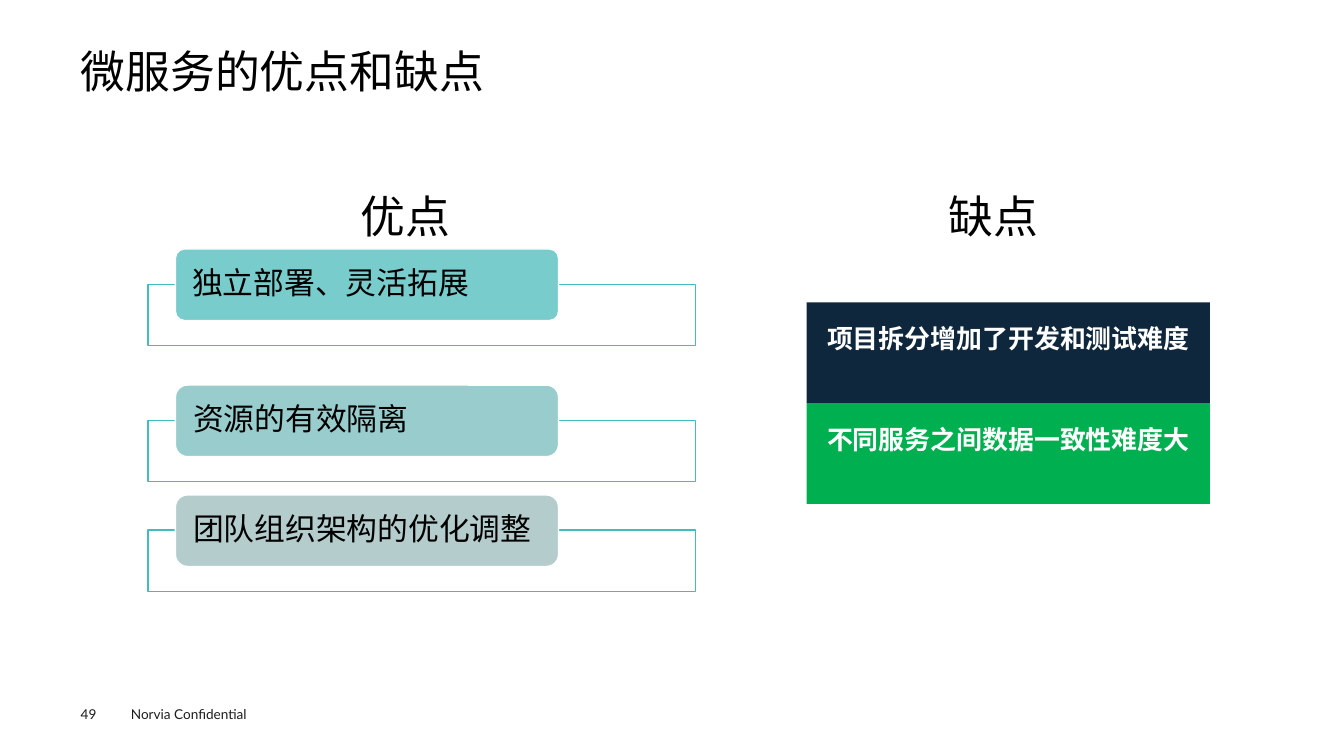
from dataclasses import dataclass
from math import cos, pi, sin

from lxml.etree import SubElement
from pptx import Presentation
from pptx.dml.color import RGBColor
from pptx.enum.shapes import MSO_SHAPE
from pptx.enum.text import MSO_ANCHOR, PP_ALIGN
from pptx.oxml.ns import qn
from pptx.util import Inches, Pt


@dataclass(frozen=True)
class Theme:
    font: str = "Lato"
    black: str = "000000"
    white: str = "FFFFFF"
    footer: str = "1D1D1B"
    outline: str = "41BDC1"
    heading_size: float = 32
    advantage_size: float = 22
    drawback_size: float = 18.5
    footer_size: float = 9.7


def write(shape, text, *, size, color, font, bold=False, align=PP_ALIGN.LEFT,
          spacing=1.0, anchor=MSO_ANCHOR.TOP, insets=(0.1, 0.05), wrap=True):
    frame = shape.text_frame
    frame.word_wrap = wrap
    frame.vertical_anchor = anchor
    frame.margin_left = frame.margin_right = Inches(insets[0])
    frame.margin_top = frame.margin_bottom = Inches(insets[1])
    paragraph = frame.paragraphs[0]
    paragraph.alignment = align
    paragraph.line_spacing = spacing
    run = paragraph.add_run()
    run.text = text
    run.font.name = font
    run.font.size = Pt(size)
    run.font.bold = bold
    run.font.color.rgb = RGBColor.from_string(color)


class SlideBuilder:
    def __init__(self, slide, theme):
        self.slide = slide
        self.theme = theme

    def paint(self, shape, fill, line=None):
        shape.shadow.inherit = False
        shape.fill.solid()
        shape.fill.fore_color.rgb = RGBColor.from_string(fill)
        if line:
            shape.line.color.rgb = RGBColor.from_string(line)
            shape.line.width = Pt(1)
        else:
            shape.line.fill.background()

    def label(self, text, left, top, width, height, **style):
        box = self.slide.shapes.add_textbox(*map(Inches, (left, top, width, height)))
        write(box, text, font=self.theme.font, **style)

    def advantage(self, text, top, color, radius):
        theme, shapes = self.theme, self.slide.shapes
        # Outlined panel behind the card, nearly opaque white
        panel = shapes.add_shape(MSO_SHAPE.RECTANGLE, Inches(1.47), Inches(top + 0.35),
                                 Inches(5.43), Inches(0.61))
        self.paint(panel, theme.white, theme.outline)
        tint = panel.fill._xPr.find(qn("a:solidFill"))[0]
        SubElement(tint, qn("a:alpha")).set("val", "90000")
        # Coloured card
        card = shapes.add_shape(MSO_SHAPE.ROUNDED_RECTANGLE, Inches(1.74), Inches(top),
                                Inches(3.8), Inches(0.71))
        card.adjustments[0] = radius / 0.71
        self.paint(card, color, theme.white)
        write(card, text, font=theme.font, size=theme.advantage_size, color=theme.black,
              spacing=0.9, anchor=MSO_ANCHOR.MIDDLE, insets=(0.14, 0))

    def drawback(self, text, left, top, color):
        theme = self.theme
        right, bottom = 12.02, top + 0.62
        rx, ry, steps = 0.13, 0.1, 8

        def corner(x, y, start):
            angles = [start + pi / 2 * i / steps for i in range(steps + 1)]
            return [(x + rx * cos(a), y + ry * sin(a)) for a in angles]

        # Rounded bubble with its tail at the lower right
        outline = (corner(left + rx, top + ry, pi)
                   + corner(right - rx, top + ry, 1.5 * pi)
                   + corner(right - rx, bottom - ry, 0)
                   + [(right - 0.26, bottom), (right - 0.26, bottom + 0.24),
                      (right - 0.56, bottom)]
                   + corner(left + rx, bottom - ry, pi / 2))
        builder = self.slide.shapes.build_freeform(*outline[0], scale=Inches(1))
        builder.add_line_segments(outline[1:], close=True)
        bubble = builder.convert_to_shape()
        self.paint(bubble, color)
        write(bubble, text, font=theme.font, size=theme.drawback_size, color=theme.white,
              bold=True, align=PP_ALIGN.CENTER, spacing=1.5)


def main():
    deck = Presentation()
    deck.slide_width, deck.slide_height = Inches(13.33), Inches(7.5)
    theme = Theme()
    page = SlideBuilder(deck.slides.add_slide(deck.slide_layouts[6]), theme)

    # Footer
    footer = dict(size=theme.footer_size, color=theme.footer)
    page.label("Norvia Confidential", 1.2, 6.95, 1.6, 0.27, wrap=False, **footer)
    page.label("49", 0.8, 7, 0.55, 0.16, insets=(0, 0), **footer)

    # Title and column headings
    heading = dict(size=theme.heading_size, color=theme.black)
    page.label("微服务的优点和缺点", 0.8, 0.49, 11.73, 0.54, insets=(0, 0),
               spacing=0.9, **heading)
    for text, left in (("优点", 3.2), ("缺点", 9.03)):
        page.label(text, left, 1.82, 1.65, 0.65, align=PP_ALIGN.CENTER, **heading)

    # Advantages
    for text, top, color, radius in (
        ("独立部署、灵活拓展", 2.47, "78CCCC", 0.09),
        ("资源的有效隔离", 3.82, "99CCCC", 0.12),
        ("团队组织架构的优化调整", 4.91, "B4CCCC", 0.12),
    ):
        page.advantage(text, top, color, radius)

    # Drawbacks
    page.drawback("项目拆分增加了开发和测试难度", 8.08, 2.93, "0F273D")
    page.drawback("不同服务之间数据一致性难度大", 8.07, 4.26, "00B050")

    deck.save("out.pptx")


if __name__ == "__main__":
    main()
